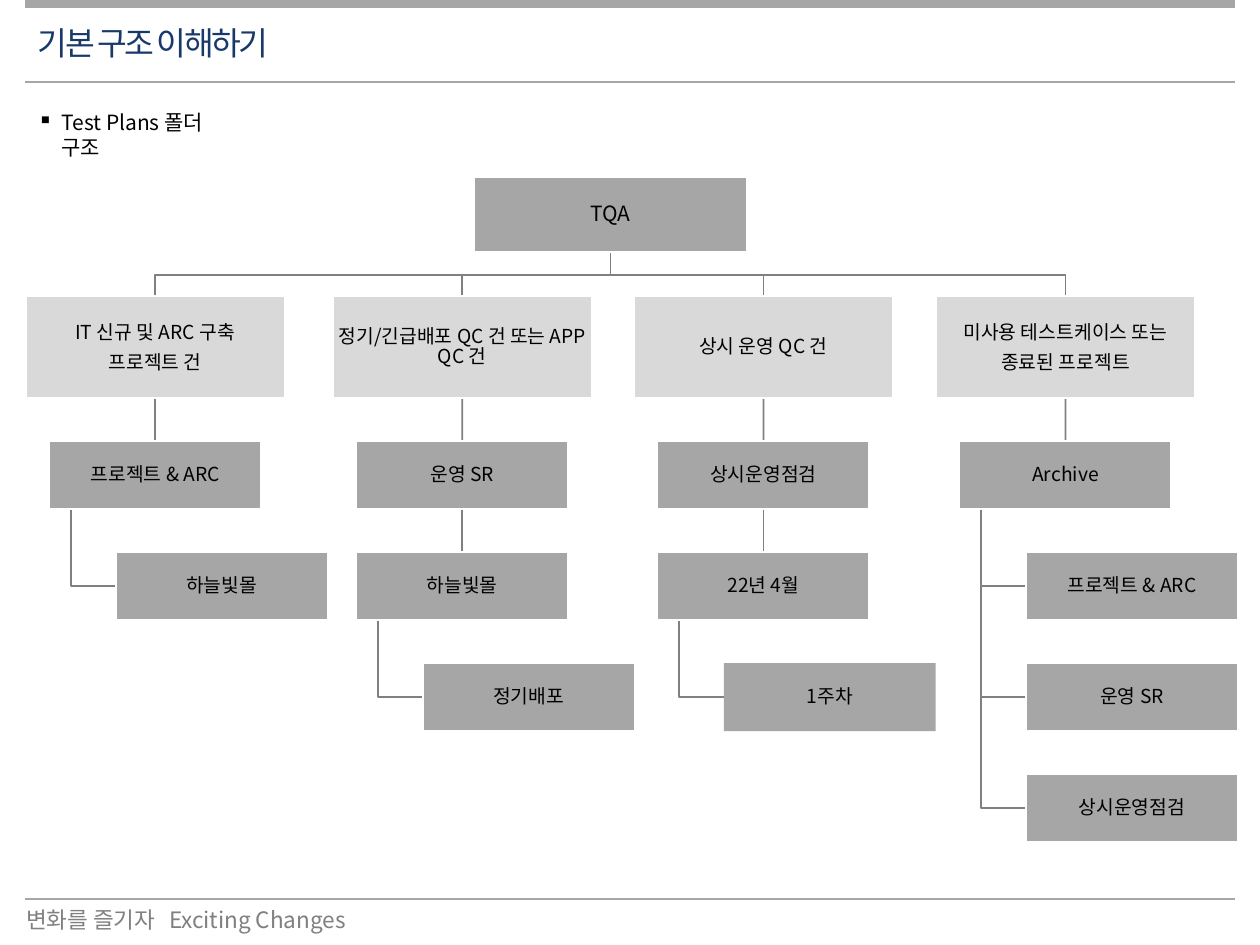
"""Build a slide with a four-branch tree of test plan folders."""
from lxml import etree
from pptx import Presentation
from pptx import util as u
from pptx.dml.color import RGBColor
from pptx.enum import shapes, text
from pptx.oxml.ns import qn

Cm, Pt = u.Cm, u.Pt
HUES = {"navy": "19396B", "dark": "808080", "mid": "A6A6A6", "pale": "D9D9D9",
        "black": "000000", "white": "FFFFFF"}
HUES = {name: RGBColor.from_string(code) for name, code in HUES.items()}
FONT = "Noto Sans CJK KR"
MID = text.MSO_ANCHOR.MIDDLE

deck = Presentation()
deck.slide_width, deck.slide_height = Cm(25.4), Cm(19.05)
slide = deck.slides.add_slide(deck.slide_layouts[5])
tree = slide.shapes


def add_run(para, words, size, hue, gap=0):
    run = para.add_run()
    run.text = words
    run.font.size, run.font.name = Pt(size), FONT
    run.font.color.rgb = HUES[hue]
    props = run.font._element
    etree.SubElement(props, qn("a:ea")).set("typeface", FONT)
    if gap:
        props.set("spc", str(gap))


def style_line(line, hue, width=1):
    line.line.color.rgb = HUES[hue]
    line.line.width = Pt(width)
    etree.SubElement(line._element.spPr, qn("a:effectLst"))
    tree._spTree.insert(2, line._element)


for y, width in (0.08, 4.5), (1.65, 1), (18.13, 1):
    rule = tree.add_connector(shapes.MSO_CONNECTOR.STRAIGHT, Cm(0.51), Cm(y), Cm(24.89), Cm(y))
    style_line(rule, "mid", width)

title = tree.title
title.left, title.top, title.width, title.height = Cm(0.51), Cm(0.33), Cm(17.91), Cm(1.17)
frame = title.text_frame
frame.auto_size, frame.vertical_anchor = text.MSO_AUTO_SIZE.NONE, MID
para = frame.paragraphs[0]
para.alignment, para.line_spacing = text.PP_ALIGN.LEFT, 0.9
add_run(para, "기본 구조 이해하기", 18.5, "navy", -140)

foot = tree.add_textbox(Cm(0.28), Cm(18.13), Cm(9), Cm(0.81))
para = foot.text_frame.paragraphs[0]
for words, gap in ("변화를 즐기자", 0), (" ", 500), ("Exciting Changes", 0):
    add_run(para, words, 12.9, "dark", gap)

note = tree.add_textbox(Cm(0.51), Cm(2.34), Cm(4.55), Cm(0.76))
note.text_frame.word_wrap, note.text_frame.vertical_anchor = True, MID
para = note.text_frame.paragraphs[0]
props = para._p.get_or_add_pPr()
props.set("marL", str(Cm(0.48)))
props.set("indent", str(Cm(-0.48)))
etree.SubElement(props, qn("a:buChar")).set("char", "▪")
add_run(para, "Test Plans 폴더 구조", 12, "black")

ROOT, BUS, TOP, STEP = 12.31, 5.54, 8.89, 2.24
WIDE, TALL, STEM, SHIFT = 4.27, 1.37, 1.7, 1.07
HEADS = [
    (3.13, ["IT 신규 및 ARC 구축", "프로젝트 건"], ["프로젝트 & ARC"], ["하늘빛몰"]),
    (9.32, ["정기/긴급배포 QC 건 또는 APP QC 건"], ["운영 SR", "하늘빛몰"], ["정기배포"]),
    (15.39, ["상시 운영 QC 건"], ["상시운영점검", "22년 4월"], ["1주차"]),
    (21.48, ["미사용 테스트케이스 또는", "종료된 프로젝트"], ["Archive"],
     ["프로젝트 & ARC", "운영 SR", "상시운영점검"]),
]

boxes = [(ROOT, 3.58, 5.51, 1.5, "mid", ["TQA"], 12, False)]
bends = []
for mid, head, chain, leaves in HEADS:
    boxes.append((mid, 5.97, 5.21, 2.06, "pale", head, 11, False))
    bends.append([(ROOT, 5.08), (ROOT, BUS), (mid, BUS), (mid, 5.97)])
    for row, words in enumerate(chain + leaves):
        y, leaf = TOP + row * STEP, row >= len(chain)
        x = mid + SHIFT + 0.27 if leaf else mid
        boxes.append((x, y, WIDE, TALL, "mid", [words], 11, not leaf))
        if leaf:
            start = TOP + (len(chain) - 1) * STEP + TALL
            stem, level = mid - STEM, y + TALL / 2
            bends.append([(stem, start), (stem, level), (x - WIDE / 2, level)])

last = None
for x, y, wide, tall, hue, lines, size, join in boxes:
    box = tree.add_shape(shapes.MSO_SHAPE.RECTANGLE, Cm(x - wide / 2), Cm(y), Cm(wide), Cm(tall))
    box.shadow.inherit = False
    box.fill.solid()
    box.fill.fore_color.rgb = HUES[hue]
    box.line.color.rgb, box.line.width = HUES["white"], Pt(1)
    if lines == ["1주차"]:
        box.line.fill.background()
    frame = box.text_frame
    frame.word_wrap, frame.vertical_anchor = True, MID
    frame.margin_left = frame.margin_right = frame.margin_top = frame.margin_bottom = Cm(0.03)
    for i, words in enumerate(lines):
        para = frame.add_paragraph() if i else frame.paragraphs[0]
        para.alignment, para.space_after = text.PP_ALIGN.CENTER, Pt(4)
        para.line_spacing = 0.9 if len(lines) == 1 else 1.0
        add_run(para, words, size, "black")
    if join:
        link = tree.add_connector(shapes.MSO_CONNECTOR.STRAIGHT, 0, 0, 0, 0)
        link.begin_connect(last, 2)
        link.end_connect(box, 0)
        style_line(link, "dark")
    last = box

for start, *rest in bends:
    pen = tree.build_freeform(Cm(start[0]), Cm(start[1]))
    pen.add_line_segments([(Cm(x), Cm(y)) for x, y in rest], close=False)
    bend = pen.convert_to_shape()
    bend.fill.background()
    style_line(bend, "dark")

deck.save("out.pptx")
